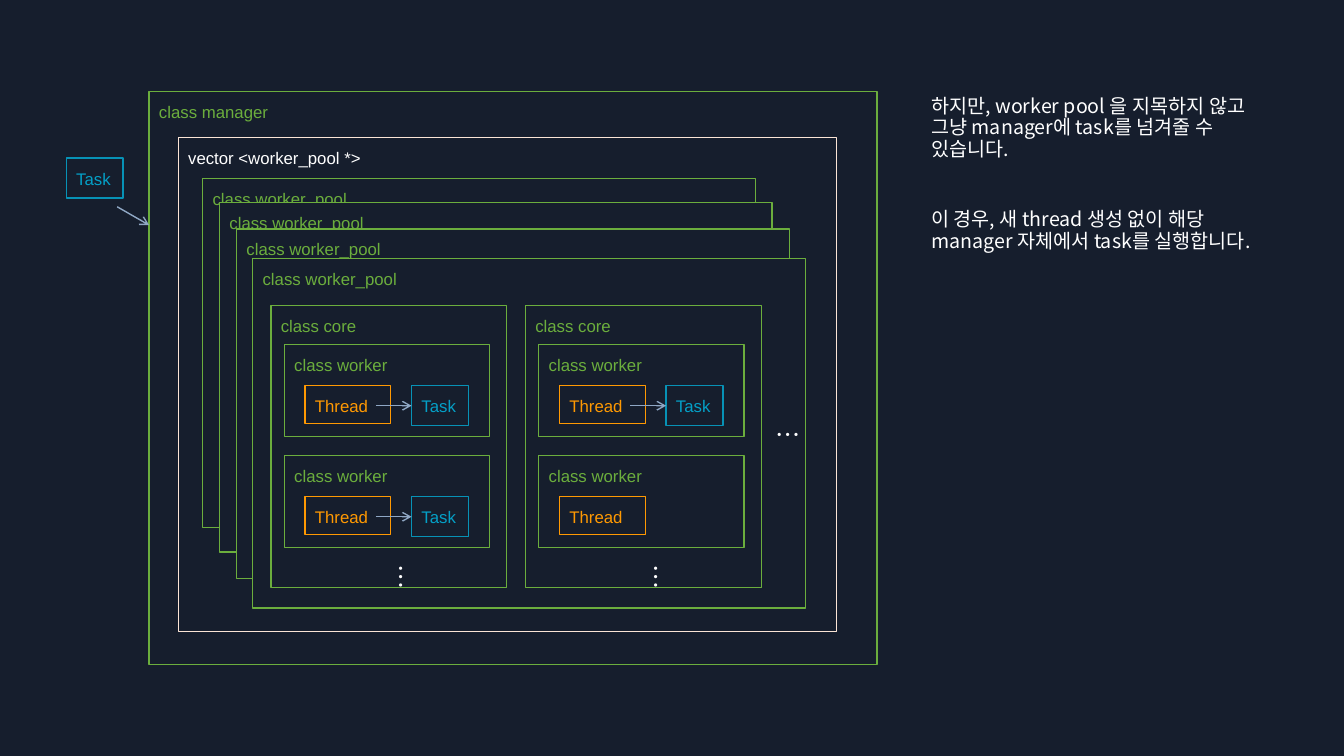
from lxml import etree
from pptx import Presentation
from pptx.dml.color import RGBColor
from pptx.enum import shapes, text
from pptx.oxml.ns import qn
from pptx.util import Pt

NAVY = RGBColor(0x16, 0x1E, 0x2D)
GREEN = RGBColor(0x6B, 0xAE, 0x3D)
ORANGE = RGBColor(0xFF, 0x99, 0x02)
TASK_LINE = RGBColor(0x07, 0x92, 0xB6)
TASK_TEXT = RGBColor(0x04, 0xA0, 0xC7)
PEACH = RGBColor(0xFB, 0xE5, 0xD6)
STEEL = RGBColor(0x8F, 0xA7, 0xC4)
WHITE = RGBColor(0xFF, 0xFF, 0xFF)
KOREAN = "Noto Sans CJK KR"

deck = Presentation()
deck.slide_width, deck.slide_height = Pt(960), Pt(540)
slide = deck.slides.add_slide(deck.slide_layouts[1])
slide.background.fill.solid()
slide.background.fill.fore_color.rgb = NAVY
heading, explanation = slide.placeholders
heading.element.getparent().remove(heading.element)


def put_text(words, left, top, width, height, color, line=None, fill=None,
             size=12, font="Arial", vertical=False):
    """Add a labelled rectangle, or a bare text box when no line is given."""
    place = Pt(left), Pt(top), Pt(width), Pt(height)
    if line is None:
        label = slide.shapes.add_textbox(*place)
    else:
        label = slide.shapes.add_shape(shapes.MSO_SHAPE.RECTANGLE, *place)
        label.shadow.inherit = False
        label.line.color.rgb, label.line.width = line, Pt(1)
        if fill is None:
            label.fill.background()
        else:
            label.fill.solid()
            label.fill.fore_color.rgb = fill
    frame = label.text_frame
    frame.word_wrap = line is not None
    frame.vertical_anchor = text.MSO_ANCHOR.TOP
    if line is not None:
        frame.margin_left = frame.margin_top = frame.margin_right = Pt(7.2)
        frame.margin_bottom = Pt(3.6)
    if vertical:
        frame._txBody.bodyPr.set("vert", "eaVert")
    paragraph = frame.paragraphs[0]
    paragraph.alignment = text.PP_ALIGN.LEFT
    run = paragraph.add_run()
    run.text = words
    run.font.size, run.font.name, run.font.color.rgb = Pt(size), font, color
    etree.SubElement(run.font._element, qn("a:ea"), typeface=font)


def add_arrow(*ends):
    arrow = slide.shapes.add_connector(
        shapes.MSO_CONNECTOR.STRAIGHT, *(Pt(end) for end in ends))
    arrow.line.color.rgb, arrow.line.width = STEEL, Pt(1)
    etree.SubElement(arrow.line._get_or_add_ln(), qn("a:tailEnd"), type="arrow")
    etree.SubElement(arrow._element.spPr, qn("a:effectLst"))


put_text("class manager", 106.5, 65.5, 520, 409, GREEN, GREEN)
put_text("vector <worker_pool *>", 127.3, 98.2, 470, 352.8, WHITE, PEACH)

# Stacked worker pools, back to front
for left, top in ((144.8, 127.4), (156.8, 144.6), (169, 163.5), (180.5, 184.6)):
    put_text("class worker_pool", left, top, 394.8, 249.6, GREEN, GREEN, fill=NAVY)
put_text("…", 547.2, 295.9, 28, 28.8, WHITE, size=18, font=KOREAN)

# Cores, each with two workers; the flags tell which workers hold a task
core_top = 218.2
for core_left, has_task in ((193.5, (True, True)), (375.3, (True, False))):
    put_text("class core", core_left, core_top, 168.5, 201.4, GREEN, GREEN)
    put_text("…", core_left + 72, core_top + 177.8, 36, 20.9, WHITE,
             size=18, font=KOREAN, vertical=True)
    for row, busy in enumerate(has_task):
        worker_top = core_top + 28 + 79.3 * row
        inner_top = worker_top + 29.3
        put_text("class worker", core_left + 9.6, worker_top, 146.5, 65.5, GREEN, GREEN)
        put_text("Thread", core_left + 24.3, inner_top, 61.3, 27, ORANGE, ORANGE)
        if busy:
            put_text("Task", core_left + 100.5, inner_top, 40.6, 28.6, TASK_TEXT, TASK_LINE)
            add_arrow(core_left + 75, inner_top + 14.3, core_left + 100.5, inner_top + 14.3)

# Task handed straight to the manager
put_text("Task", 47.4, 113, 40.6, 28.6, TASK_TEXT, TASK_LINE)
add_arrow(83.7, 147.7, 106.5, 160.8)

explanation.left, explanation.top = Pt(658), Pt(65.5)
explanation.width, explanation.height = Pt(250.5), Pt(409)
explanation.text_frame.auto_size = text.MSO_AUTO_SIZE.NONE
explanation.text_frame.text = (
    "하지만, worker pool 을 지목하지 않고 그냥 manager에 task를 넘겨줄 수 있습니다.\n"
    "이 경우, 새 thread 생성 없이 해당 manager 자체에서 task를 실행합니다.")
for paragraph, gap in zip(explanation.text_frame.paragraphs, (10, 35.5)):
    paragraph.line_spacing, paragraph.space_before = 0.9, Pt(gap)
    properties = paragraph._p.get_or_add_pPr()
    properties.set("marL", "0")
    properties.set("indent", "0")
    etree.SubElement(properties, qn("a:buNone"))
    font = paragraph.runs[0].font
    font.size, font.name, font.color.rgb = Pt(14), KOREAN, WHITE
    etree.SubElement(font._element, qn("a:ea"), typeface=KOREAN)

deck.save("out.pptx")
